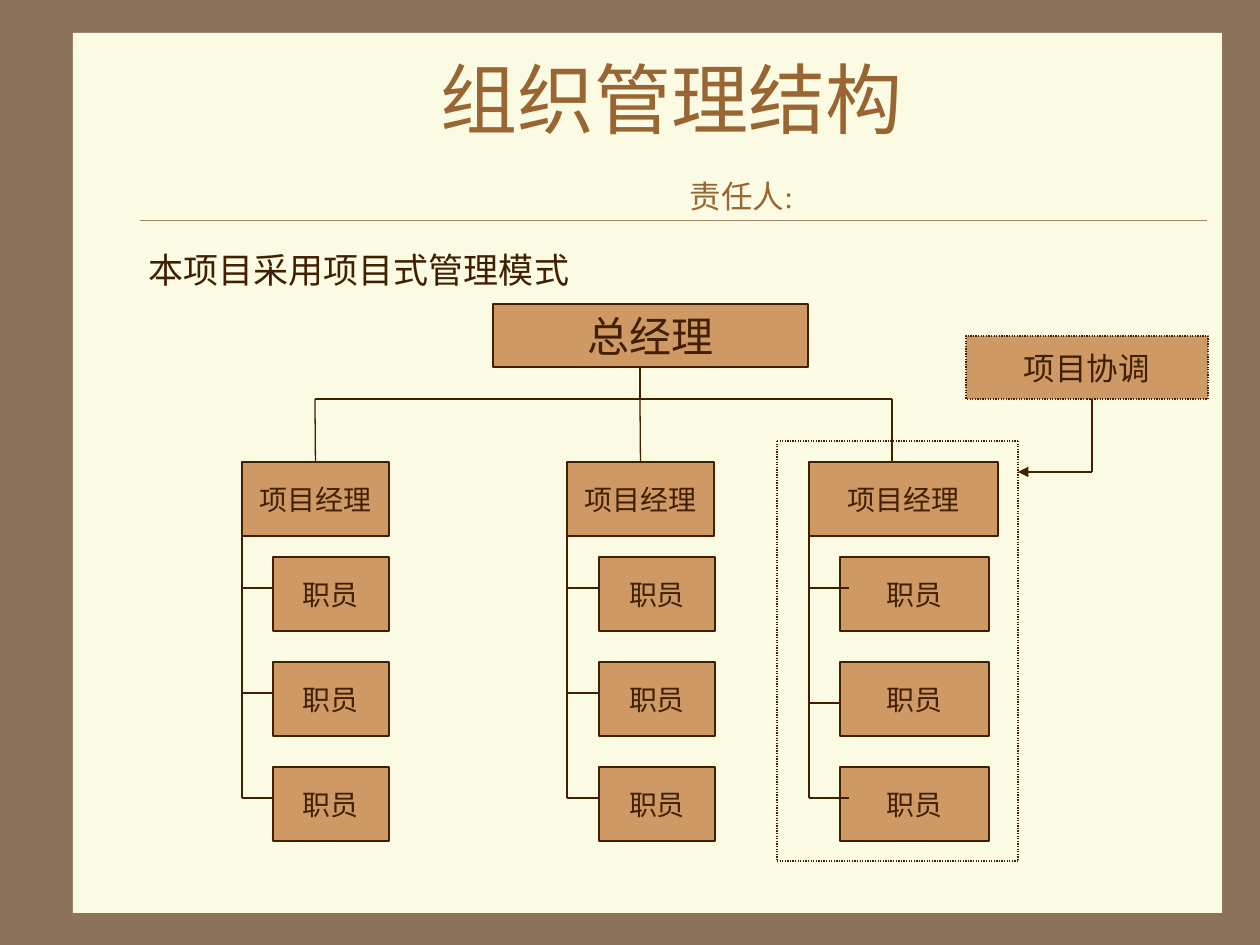
from lxml.etree import SubElement as Sub
from pptx import Presentation
from pptx.dml.color import RGBColor as RGB
from pptx.enum.dml import MSO_LINE as Dash
from pptx.enum.shapes import MSO_CONNECTOR as Conn, MSO_SHAPE as Shape
from pptx.enum.text import MSO_ANCHOR as Anchor, PP_ALIGN as Align
from pptx.oxml.ns import qn
from pptx.util import Pt

PX = 7257  # EMU per px, 126 px to the inch
HEX = {"edge": "8C735A", "page": "FBFAE2", "rule": "A08366",
       "title": "996633", "box": "CE9964", "ink": "402000"}
TALL = 74  # height of manager and staff boxes


def tint(name):
    return RGB.from_string(HEX[name])


def style(para, size, face, color):
    for run in para.runs:
        font = run.font
        font.size, font.name = Pt(size), face
        font.color.rgb = tint(color)


def add_rect(slide, x, y, w, h, fill):
    rect = slide.shapes.add_shape(Shape.RECTANGLE, *(n * PX for n in (x, y, w, h)))
    rect.shadow.inherit = False
    rect.fill.solid()
    rect.fill.fore_color.rgb = tint(fill)
    rect.line.fill.background()
    return rect


def add_box(slide, x, y, w, h, text, size, dash=None):
    box = add_rect(slide, x, y, w, h, "box")
    box.line.color.rgb = tint("ink")
    box.line.width = Pt(0.75)
    if dash:
        box.line.dash_style = dash
    frame = box.text_frame
    frame.text = text
    frame.word_wrap = False
    frame.vertical_anchor = Anchor.MIDDLE
    para = frame.paragraphs[0]
    para.alignment = Align.CENTER
    style(para, size, "Arial", "ink")
    return box


def add_line(slide, x1, y1, x2, y2, color="ink", width=0.75, dash=None, arrow=False):
    line = slide.shapes.add_connector(Conn.STRAIGHT, *(n * PX for n in (x1, y1, x2, y2)))
    line.line.color.rgb = tint(color)
    line.line.width = Pt(width)
    if dash:
        line.line.dash_style = dash
    if arrow:
        Sub(line.line._get_or_add_ln(), qn("a:tailEnd"), type="triangle")
    Sub(line._element.spPr, qn("a:effectLst"))
    return line


def add_text(slide, x, y, w, h, text, wrap):
    box = slide.shapes.add_textbox(*(n * PX for n in (x, y, w, h)))
    frame = box.text_frame
    frame.text = text
    frame.word_wrap = wrap
    return frame


def add_title(slide):
    frame = add_text(slide, 136, 63, 1071, 157, "组织管理结构\n责任人:", True)
    frame.vertical_anchor = Anchor.MIDDLE
    frame.margin_bottom = 23 * PX
    for para, size in zip(frame.paragraphs, (44, 18)):
        para.alignment = Align.CENTER
        style(para, size, "Times New Roman", "title")
    owner = frame.paragraphs[1]
    owner.space_before = Pt(19)
    owner._p.get_or_add_pPr().set("marL", str(140 * PX))


def add_team(slide, x, wide, inset, staff, drop, stubs, reach):
    """One manager with three staff boxes hung from a trunk line."""
    boss = add_box(slide, x, 462, wide, TALL, "项目经理", 16)
    for row in range(3):
        add_box(slide, x + inset, 557 + 105 * row, staff, TALL, "职员", 16)
    down = add_line(slide, drop, 399, drop, 462)
    if drop == x + wide // 2:
        down.end_connect(boss, 0)
    add_line(slide, x, 462 + TALL, x, 798)
    for y, far in zip(stubs, reach):
        add_line(slide, x, y, x + far, y)


def main():
    deck = Presentation()
    deck.slide_width, deck.slide_height = 1260 * PX, 945 * PX
    slide = deck.slides.add_slide(deck.slide_layouts[6])

    # Page and heading
    slide.background.fill.solid()
    slide.background.fill.fore_color.rgb = tint("edge")
    add_rect(slide, 73, 33, 1149, 880, "page")
    add_line(slide, 140, 220, 1207, 220, "rule", 0.25)
    add_title(slide)
    intro = add_text(slide, 136, 242, 446, 55, "本项目采用项目式管理模式", False)
    style(intro.paragraphs[0], 20, "Times New Roman", "ink")

    # General manager and branch line
    add_box(slide, 493, 304, 315, 63, "总经理", 24)
    add_line(slide, 640, 367, 640, 399)
    add_line(slide, 315, 399, 892, 399)

    # Teams
    even = (588, 693, 798)
    add_team(slide, 242, 147, 31, 116, 315, even, (31, 31, 31))
    add_team(slide, 567, 147, 32, 116, 640, even, (32, 32, 32))
    add_team(slide, 809, 189, 31, 149, 892, (588, 703, 798), (40, 31, 40))

    # Dotted frame round the third team
    left, top, right, low = 777, 441, 1018, 861
    for ends in ((left, top, right, top), (right, top, right, low),
                 (left, top, left, low), (left, low, right, low)):
        add_line(slide, *ends, dash=Dash.ROUND_DOT)

    # Project coordination
    add_box(slide, 966, 336, 242, 63, "项目协调", 18, Dash.ROUND_DOT)
    add_line(slide, 1092, 399, 1092, 472)
    add_line(slide, 1092, 472, right, 472, arrow=True)

    deck.save("out.pptx")


if __name__ == "__main__":
    main()
